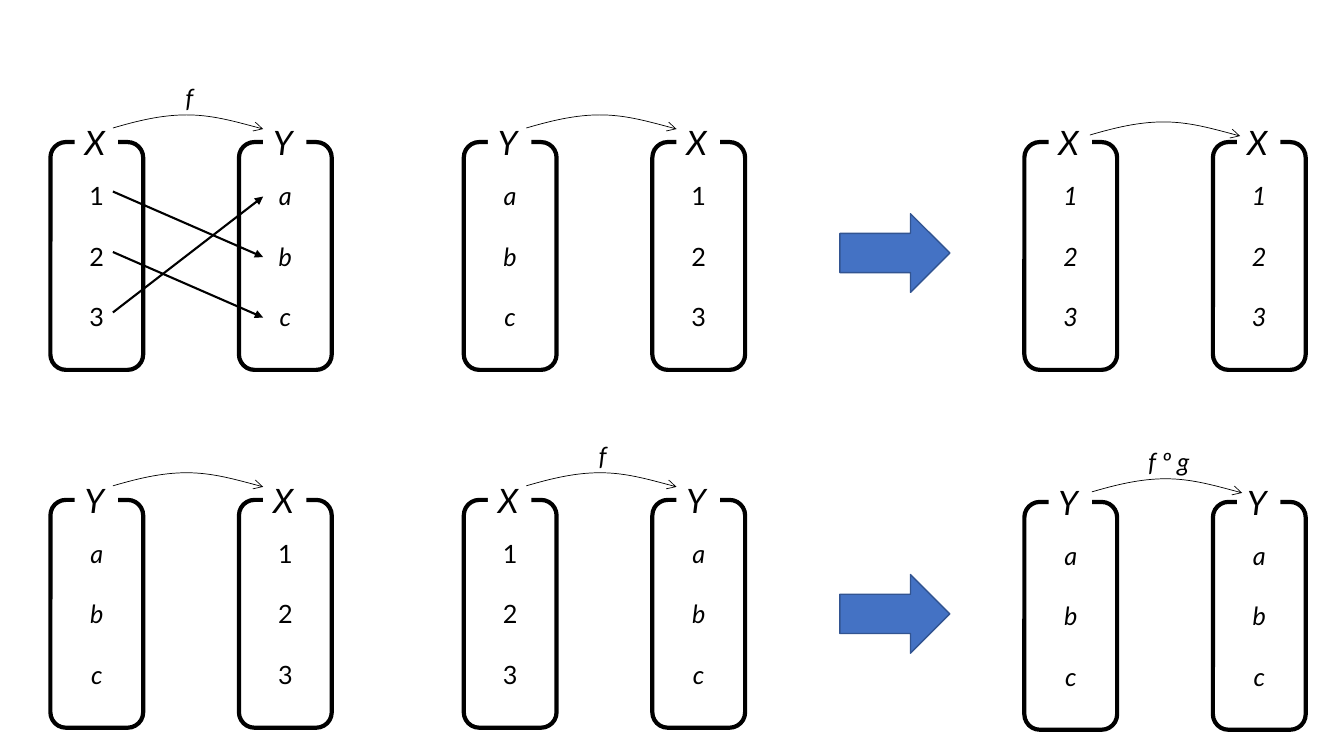
import pptx
import pptx.dml.color
import pptx.enum.shapes
import pptx.enum.text
import pptx.oxml
import pptx.oxml.ns
import pptx.util
from dataclasses import dataclass

Inches = pptx.util.Inches
Pt = pptx.util.Pt
Shapes = pptx.enum.shapes.MSO_SHAPE
Align = pptx.enum.text.PP_ALIGN
Anchor = pptx.enum.text.MSO_ANCHOR


@dataclass(frozen=True)
class Theme:
    font: str = "Lato"
    ink: str = "000000"
    paper: str = "FFFFFF"
    accent: str = "4472C4"
    accent_edge: str = "325491"
    name_size: float = 24
    text_size: float = 18
    element_gap: float = 21.6


THEME = Theme()
ELEMENTS = {"X": "123", "Y": "abc"}
SET_WIDTH, SET_HEIGHT, SET_STEP = 0.92, 2.26, 1.87
ROW_STEP = 0.6


def rgb(value):
    return pptx.dml.color.RGBColor.from_string(value)


def paint(shape, fill=None, line=None, width=0):
    shape.shadow.inherit = False
    if fill:
        shape.fill.solid()
        shape.fill.fore_color.rgb = rgb(fill)
    else:
        shape.fill.background()
    if line:
        shape.line.color.rgb = rgb(line)
        shape.line.width = Pt(width)
    else:
        shape.line.fill.background()


def write(shape, lines, size, italic, align=Align.LEFT, anchor=Anchor.TOP):
    frame = shape.text_frame
    frame.word_wrap = True
    frame.vertical_anchor = anchor
    frame.text = "\n".join(lines)
    for index, paragraph in enumerate(frame.paragraphs):
        paragraph.alignment = align
        if index:
            paragraph.space_before = Pt(THEME.element_gap)
        for run in paragraph.runs:
            run.font.name = THEME.font
            run.font.size = Pt(size)
            run.font.italic = italic
            run.font.color.rgb = rgb(THEME.ink)


def add_arrowhead(shape, kind):
    line = shape.line._get_or_add_ln()
    line.append(pptx.oxml.parse_xml(
        f'<a:tailEnd {pptx.oxml.ns.nsdecls("a")} type="{kind}"/>'))


def add_set(slide, left, top, name, italic):
    # Rounded outline holding the elements
    outline = slide.shapes.add_shape(
        Shapes.ROUNDED_RECTANGLE, Inches(left), Inches(top),
        Inches(SET_WIDTH), Inches(SET_HEIGHT))
    paint(outline, line=THEME.ink, width=3)
    write(outline, ELEMENTS[name], THEME.text_size, italic,
          Align.CENTER, Anchor.MIDDLE)
    # Set name interrupting the top edge
    tag = slide.shapes.add_shape(
        Shapes.RECTANGLE, Inches(left + 0.24), Inches(top - 0.25),
        Inches(0.43), Inches(0.5))
    paint(tag, fill=THEME.paper)
    write(tag, [name], THEME.name_size, True)


def add_arc(slide, left, top, label, label_shift, label_width):
    group = slide.shapes.add_group_shape()
    # Two cubic segments: control, control, end
    segments = [[(0.24, 0.06), (0.48, 0), (0.73, 0)],
                [(0.97, 0), (1.23, 0.07), (1.49, 0.14)]]
    builder = group.shapes.build_freeform(0, Inches(0.13))
    builder.add_line_segments(
        [(Inches(x), Inches(y)) for x, y in (s[-1] for s in segments)], close=False)
    arc = builder.convert_to_shape(Inches(left), Inches(top))
    straight = list(arc._element.iter(pptx.oxml.ns.qn("a:lnTo")))
    for old, segment in zip(straight, segments):
        points = "".join(f'<a:pt x="{Inches(x)}" y="{Inches(y)}"/>' for x, y in segment)
        curve = pptx.oxml.parse_xml(
            f'<a:cubicBezTo {pptx.oxml.ns.nsdecls("a")}>{points}</a:cubicBezTo>')
        old.getparent().replace(old, curve)
    paint(arc, line=THEME.ink, width=0.5)
    add_arrowhead(arc, "arrow")
    if label:
        box = group.shapes.add_textbox(
            Inches(left + label_shift), Inches(top - 0.37),
            Inches(label_width), Inches(0.4))
        write(box, [label], THEME.text_size, True)


def add_mapping(slide, left, top, source, target, label="", arc_at=(0.62, -0.27),
                label_shift=0.62, label_width=0.37, all_italic=False):
    for index, name in enumerate((source, target)):
        add_set(slide, left + index * SET_STEP, top, name, all_italic or name == "Y")
    add_arc(slide, left + arc_at[0], top + arc_at[1], label, label_shift, label_width)


def add_element_arrows(slide, left, top, pairs):
    for start, end in pairs:
        connector = slide.shapes.add_connector(
            pptx.enum.shapes.MSO_CONNECTOR.STRAIGHT,
            Inches(left + 0.62), Inches(top + 0.49 + start * ROW_STEP),
            Inches(left + 2.11), Inches(top + 0.54 + end * ROW_STEP))
        connector.line.color.rgb = rgb(THEME.ink)
        connector.line.width = Pt(1.5)
        add_arrowhead(connector, "triangle")
        connector._element.spPr.append(pptx.oxml.parse_xml(
            f'<a:effectLst {pptx.oxml.ns.nsdecls("a")}/>'))


def add_result_arrow(slide, left, top):
    arrow = slide.shapes.add_shape(
        Shapes.RIGHT_ARROW, Inches(left), Inches(top), Inches(1.09), Inches(0.78))
    paint(arrow, THEME.accent, THEME.accent_edge, 1)


def main():
    presentation = pptx.Presentation()
    presentation.slide_width = Inches(13.33)
    presentation.slide_height = Inches(7.5)
    slide = presentation.slides.add_slide(presentation.slide_layouts[6])

    # Upper row: X to Y, then back to X
    add_mapping(slide, 0.5, 1.41, "X", "Y", "f")
    add_element_arrows(slide, 0.5, 1.41, [(0, 1), (1, 2), (2, 0)])
    add_mapping(slide, 4.6, 1.41, "Y", "X")
    add_result_arrow(slide, 8.33, 2.12)
    add_mapping(slide, 10.16, 1.41, "X", "X", arc_at=(0.65, -0.2), all_italic=True)

    # Lower row: Y to X, then back to Y
    add_mapping(slide, 0.5, 4.96, "Y", "X")
    add_mapping(slide, 4.6, 4.96, "X", "Y", "f")
    add_result_arrow(slide, 8.33, 5.7)
    add_mapping(slide, 10.16, 4.98, "Y", "Y", "f º g", arc_at=(0.67, -0.23),
                label_shift=0.46, label_width=0.86)

    presentation.save("out.pptx")


if __name__ == "__main__":
    main()
